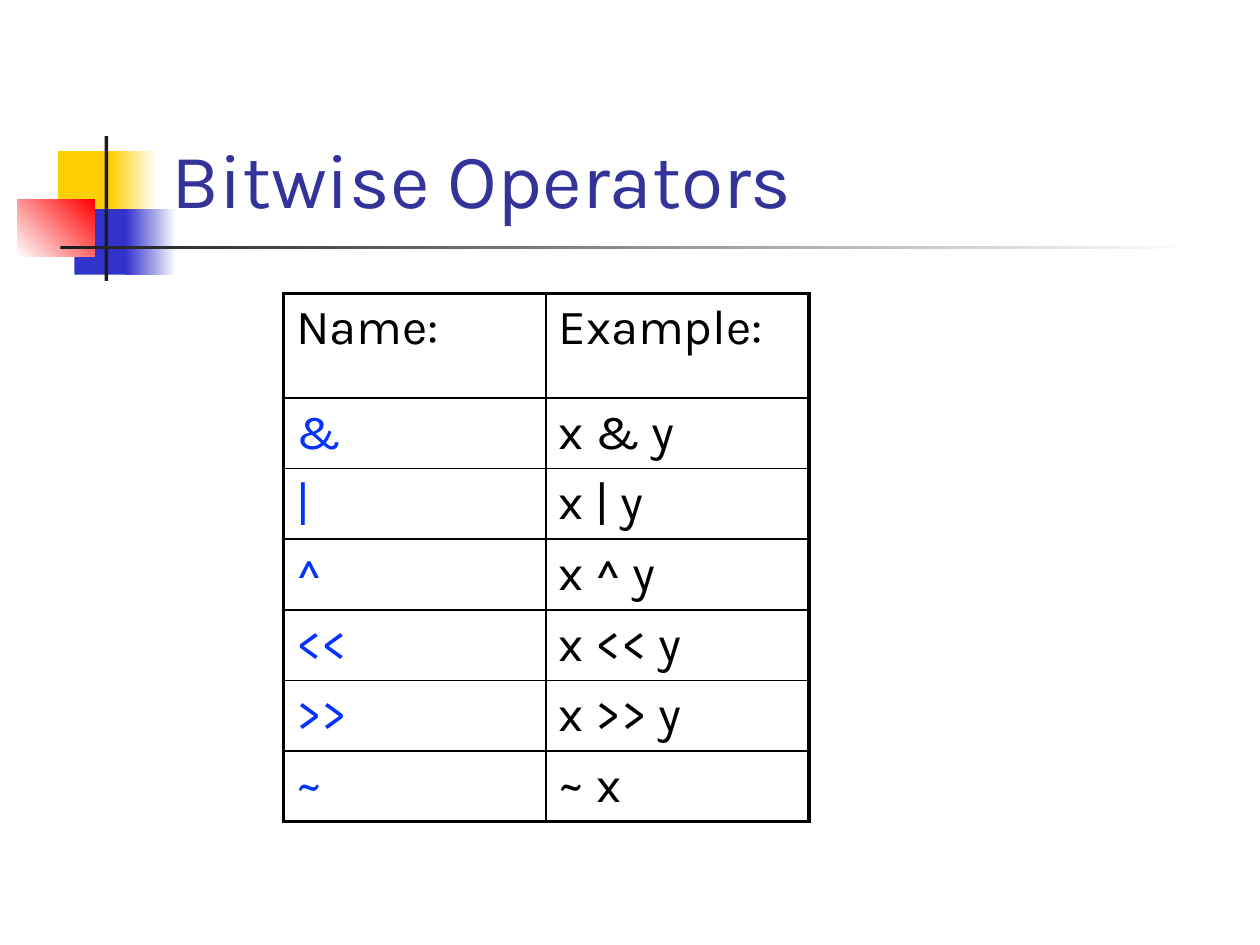
from lxml.etree import SubElement
from pptx import Presentation
from pptx.dml.color import RGBColor
from pptx.enum.shapes import MSO_SHAPE
from pptx.enum.text import MSO_ANCHOR, MSO_AUTO_SIZE, PP_ALIGN
from pptx.oxml.ns import qn
from pptx.util import Inches, Pt


def hue(code):
    return RGBColor.from_string(code)


def write(frame, text, size=28, color="000000", font="Karla"):
    para = frame.paragraphs[0]
    para.alignment = PP_ALIGN.LEFT
    run = para.add_run()
    run.text = text
    run.font.size = Pt(size)
    run.font.name = font
    run.font.color.rgb = hue(color)


deck = Presentation()
deck.slide_width, deck.slide_height = Inches(10), Inches(7.5)
slide = deck.slides.add_slide(deck.slide_layouts[5])

blocks = [
    (0.46, 1.2, 0.48, 0.52, ["FFCF01"], 0),
    (0.88, 1.2, 0.36, 0.52, ["FFCF01", "FFFFFF"], 0),
    (0.59, 1.66, 0.46, 0.52, ["3333CC"], 0),
    (1, 1.66, 0.4, 0.52, ["3333CC", "FFFFFF"], 0),
    (0.14, 1.58, 0.61, 0.46, ["FFFFFF", "FF0000"], 45),
    (0.83, 1.08, 0.03, 1.15, ["1C1C1C"], 0),
    (0.48, 1.95, 9, 0.03, ["1C1C1C", "FFFFFF"], 0),
]
for *box, tints, angle in blocks:
    block = slide.shapes.add_shape(MSO_SHAPE.RECTANGLE, *map(Inches, box))
    block.shadow.inherit = False
    block.line.fill.background()
    if len(tints) == 1:
        block.fill.solid()
        block.fill.fore_color.rgb = hue(tints[0])
    else:
        block.fill.gradient()
        block.fill.gradient_angle = angle
        for stop, tint, place in zip(block.fill.gradient_stops, tints, (0, 1)):
            stop.color.rgb = hue(tint)
            stop.position = place

title = slide.shapes.title
title.left, title.top = Inches(1.26), Inches(0.23)
title.width, title.height = Inches(8.52), Inches(1.6)
frame = title.text_frame
frame.auto_size = MSO_AUTO_SIZE.NONE
frame.vertical_anchor = MSO_ANCHOR.BOTTOM
write(frame, "Bitwise Operators", size=44, color="333399")
title.element.getparent().append(title.element)

rows = [
    ("Name:", "Example:"),
    ("&", "x & y"),
    ("|", "x | y"),
    ("^", "x ^ y"),
    ("<<", "x << y"),
    (">>", "x >> y"),
    ("~", "~ x"),
]
high = [0.83] + [0.56] * (len(rows) - 1)
grid = slide.shapes.add_table(
    len(rows), 2, Inches(2.25), Inches(2.33), Inches(4.17), Inches(sum(high))
).table
grid.first_row = grid.horz_banding = False
for r, pair in enumerate(rows):
    grid.rows[r].height = Inches(high[r])
    for c, text in enumerate(pair):
        cell = grid.cell(r, c)
        write(cell.text_frame, text, color="0432FF" if r and not c else "000000")
        props = cell._tc.get_or_add_tcPr()
        edges = {"L": c == 0, "R": c == 1, "T": r == 0, "B": r == len(rows) - 1}
        for side, outer in edges.items():
            width = Pt(2.25 if outer else 1)
            line = SubElement(props, qn(f"a:ln{side}"), w=str(width))
            fill = SubElement(line, qn("a:solidFill"))
            SubElement(fill, qn("a:srgbClr"), val="000000")
        cell.fill.background()

deck.save("out.pptx")
